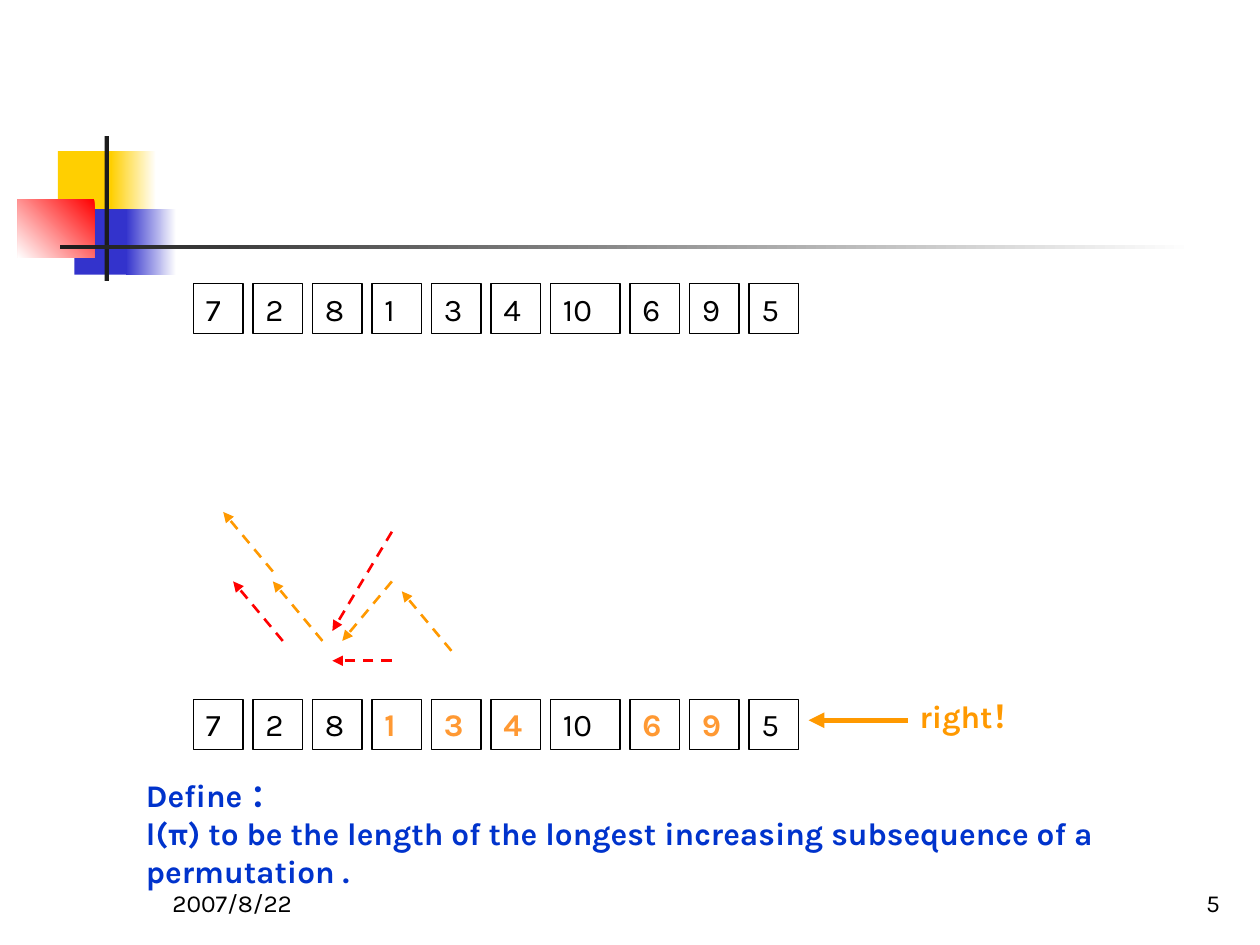
"""Slide on the longest increasing subsequence of a permutation."""
from typing import NamedTuple, Optional

from lxml.etree import SubElement
from pptx import Presentation
from pptx.dml.color import RGBColor
from pptx.enum.dml import MSO_LINE_DASH_STYLE as Dash
from pptx.enum.shapes import MSO_AUTO_SHAPE_TYPE as Preset, MSO_CONNECTOR_TYPE as Link
from pptx.enum.text import MSO_VERTICAL_ANCHOR as Anchor, PP_PARAGRAPH_ALIGNMENT as Align
from pptx.oxml.ns import qn
from pptx.util import Inches, Mm, Pt

COLORS = {
    "yellow": "FFCF01", "indigo": "3333CC", "red": "FF0000", "white": "FFFFFF",
    "charcoal": "1C1C1C", "black": "000000", "chosen": "FF9933",
    "orange": "FF9900", "blue": "0033CC",
}
FONT = "Karla"
WIDTH, HEIGHT = Inches(10), Inches(7.5)
UNIT = Mm(2)
GRID_LEFT, GRID_TOP = Mm(39), Mm(103.2)
GAP, CELL_UNITS, WIDE_UNITS = 1, 5, 7
PERMUTATION = (7, 2, 8, 1, 3, 4, 10, 6, 9, 5)
SUBSEQUENCE = (1, 3, 4, 6, 9)


class Area(NamedTuple):
    """Left, top, width and height in percent of the slide."""
    left: float
    top: float
    width: float
    height: float

    def emu(self) -> tuple:
        """Give the four lengths in EMU."""
        return tuple(round(share * side / 100)
                     for share, side in zip(self, (WIDTH, HEIGHT) * 2))


class Ornament(NamedTuple):
    """A decorative block, fading when it has an end colour."""
    area: Area
    color: str
    fade: Optional[str] = None
    angle: float = 0


class Arrow(NamedTuple):
    """An arrow between two grid points given as column and row."""
    start: tuple
    end: tuple
    color: str
    width: float = 1.5
    dashed: bool = True


class Caption(NamedTuple):
    """A text box on the slide."""
    area: Area
    lines: tuple
    color: str = "black"
    size: int = 18
    bold: bool = False
    align: Align = Align.LEFT
    anchor: Anchor = Anchor.TOP


ORNAMENTS = (
    Ornament(Area(4.6, 16, 4.8, 6.93), "yellow"),
    Ornament(Area(8.8, 16, 3.6, 6.93), "white", "yellow", 180),
    Ornament(Area(5.9, 22.13, 4.6, 6.93), "indigo"),
    Ornament(Area(10, 22.13, 4, 6.93), "white", "indigo", 180),
    Ornament(Area(1.4, 21.07, 6.1, 6.2), "red", "white", 225),
    Ornament(Area(8.3, 14.4, 0.35, 15.33), "charcoal"),
    Ornament(Area(4.8, 25.95, 90, 0.45), "white", "charcoal", 180),
)
ARROWS = (
    Arrow((9, 13), (4, 7), "red"),
    Arrow((8, 6), (3, 0), "orange"),
    Arrow((20, 15), (14, 15), "red"),
    Arrow((20, 7), (15, 13), "orange"),
    Arrow((26, 14), (21, 8), "orange"),
    Arrow((20, 2), (14, 12), "red"),
    Arrow((13, 13), (8, 7), "orange"),
    Arrow((72, 21), (62, 21), "orange", 3, False),
)
CAPTIONS = (
    Caption(Area(72, 73.07, 11.8, 5.33), ("right！",), "orange", bold=True),
    Caption(Area(10.6, 81.47, 85.1, 13.33),
            ("Define ：", "l(π) to be the length of the longest increasing "
             "subsequence of a permutation ."), "blue", bold=True),
    Caption(Area(77, 91.07, 20.8, 6.67), ("5",), size=14,
            align=Align.RIGHT, anchor=Anchor.BOTTOM),
    Caption(Area(12.7, 91.07, 20.8, 6.67), ("2007/8/22",), size=14,
            anchor=Anchor.BOTTOM),
)


def rgb(name: str) -> RGBColor:
    """Look up a colour by name."""
    return RGBColor.from_string(COLORS[name])


def write(frame, caption: Caption) -> None:
    """Fill a text frame with the lines and format of a caption."""
    frame.text = "\n".join(caption.lines)
    frame.word_wrap = True
    frame.vertical_anchor = caption.anchor
    for paragraph in frame.paragraphs:
        paragraph.alignment = caption.align
        for run in paragraph.runs:
            run.font.name = FONT
            run.font.size = Pt(caption.size)
            run.font.bold = caption.bold
            run.font.color.rgb = rgb(caption.color)


def draw_ornament(slide, ornament: Ornament) -> None:
    """Draw one block of the corner decoration."""
    block = slide.shapes.add_shape(Preset.RECTANGLE, *ornament.area.emu())
    block.shadow.inherit = False
    block.line.fill.background()
    if ornament.fade is None:
        block.fill.solid()
        block.fill.fore_color.rgb = rgb(ornament.color)
        return
    block.fill.gradient()
    block.fill.gradient_angle = ornament.angle
    for position, (stop, name) in enumerate(
            zip(block.fill.gradient_stops, (ornament.color, ornament.fade))):
        stop.position = position
        stop.color.rgb = rgb(name)


def draw_sequence(slide, top: int, chosen: tuple = ()) -> None:
    """Draw the permutation as a row of cells with the chosen numbers marked."""
    column = 0
    for number in PERMUTATION:
        units = WIDE_UNITS if number >= 10 else CELL_UNITS
        cell = slide.shapes.add_shape(Preset.RECTANGLE, GRID_LEFT + column * UNIT,
                                      top, units * UNIT, Inches(0.4))
        cell.shadow.inherit = False
        cell.fill.background()
        cell.line.color.rgb = rgb("black")
        cell.line.width = Pt(0.75)
        marked = number in chosen
        write(cell.text_frame, Caption(None, (str(number),),
                                       "chosen" if marked else "black", bold=marked))
        column += units + GAP


def draw_arrow(slide, arrow: Arrow) -> None:
    """Draw an arrow with its head at the end point."""
    ends = [origin + place * UNIT for point in (arrow.start, arrow.end)
            for origin, place in zip((GRID_LEFT, GRID_TOP), point)]
    link = slide.shapes.add_connector(Link.STRAIGHT, *ends)
    link.line.color.rgb = rgb(arrow.color)
    link.line.width = Pt(arrow.width)
    if arrow.dashed:
        link.line.dash_style = Dash.DASH
    properties = link._element.spPr
    SubElement(properties.find(qn("a:ln")), qn("a:tailEnd"), type="triangle")
    SubElement(properties, qn("a:effectLst"))


def main() -> None:
    """Build and save the slide."""
    deck = Presentation()
    deck.slide_width, deck.slide_height = WIDTH, HEIGHT
    slide = deck.slides.add_slide(deck.slide_layouts[6])
    for ornament in ORNAMENTS:
        draw_ornament(slide, ornament)
    draw_sequence(slide, round(0.3 * HEIGHT))
    draw_sequence(slide, round(0.74 * HEIGHT), SUBSEQUENCE)
    for arrow in ARROWS:
        draw_arrow(slide, arrow)
    for caption in CAPTIONS:
        write(slide.shapes.add_textbox(*caption.area.emu()).text_frame, caption)
    deck.save("out.pptx")


if __name__ == "__main__":
    main()
